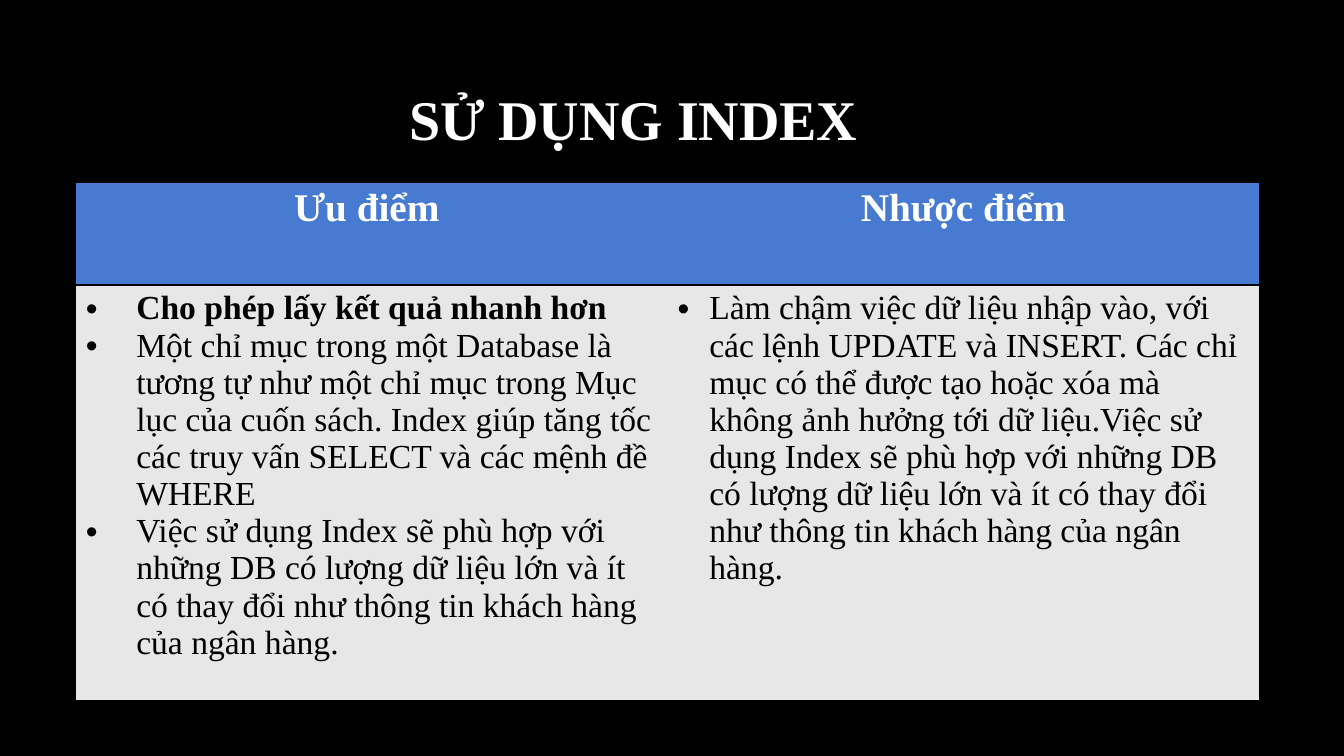
from pptx import Presentation
from pptx.dml.color import RGBColor
from pptx.enum.text import MSO_ANCHOR, PP_ALIGN
from pptx.oxml import parse_xml
from pptx.oxml.ns import nsdecls, qn
from pptx.util import Cm, Pt

CENTER, LEFT = PP_ALIGN.CENTER, PP_ALIGN.LEFT
MIDDLE = MSO_ANCHOR.MIDDLE
TITLE_ONLY = 5
NO_STYLE = "{2D5ABB26-0587-4C30-8999-92F81FD0307C}"
FONT = "Times New Roman"
COLORS = {"black": "000000", "white": "FFFFFF", "header": "477BD1", "body": "E7E7E7"}

TITLE_FORMAT = {"name": FONT, "size": Pt(40), "bold": True}
HEADER_FORMAT = {"name": FONT, "size": Pt(28), "bold": True}
BODY_FORMAT = {"name": FONT, "size": Pt(24), "bold": False}

HEADERS = ["Ưu điểm ", "Nhược điểm"]
KEY_POINT = "Cho phép lấy kết quả nhanh hơn"
ADVANTAGES = [
    KEY_POINT,
    "Một chỉ mục trong một Database là tương tự như một chỉ mục trong Mục lục "
    "của cuốn sách. Index giúp tăng tốc các truy vấn SELECT và các mệnh đề WHERE",
    "Việc sử dụng Index sẽ phù hợp với những DB có lượng dữ liệu lớn và ít có "
    "thay đổi như thông tin khách hàng của ngân hàng.",
]
DRAWBACKS = [
    "Làm chậm việc dữ liệu nhập vào, với các lệnh UPDATE và INSERT. Các chỉ mục "
    "có thể được tạo hoặc xóa mà không ảnh hưởng tới dữ liệu.Việc sử dụng Index "
    "sẽ phù hợp với những DB có lượng dữ liệu lớn và ít có thay đổi như thông tin "
    "khách hàng của ngân hàng.",
]
COLUMNS = [(ADVANTAGES, Cm(1.27)), (DRAWBACKS, Cm(0.8))]


def rgb(name):
    return RGBColor.from_string(COLORS[name])


def write(para, text, color, formats, align):
    para.alignment = align
    span = para.add_run()
    span.text = text
    for key, value in formats.items():
        setattr(span.font, key, value)
    span.font.color.rgb = rgb(color)


def add_bullet(para, indent):
    props = para._p.get_or_add_pPr()
    props.set("marL", str(indent))
    props.set("indent", str(-indent))
    props.append(parse_xml(f'<a:buFont {nsdecls("a")} typeface="Arial"/>'))
    props.append(parse_xml(f'<a:buChar {nsdecls("a")} char="•"/>'))


def style_cell(cell, fill):
    """Fill the cell and rule it above and below."""
    cell.fill.solid()
    cell.fill.fore_color.rgb = rgb(fill)
    for side in ("lnB", "lnT"):
        line = parse_xml(
            f'<a:{side} {nsdecls("a")} w="{Pt(2)}"><a:solidFill>'
            f'<a:srgbClr val="{COLORS["black"]}"/></a:solidFill></a:{side}>'
        )
        cell._tc.get_or_add_tcPr().insert(0, line)


def add_title(page):
    title = page.shapes.title
    title.left, title.top, title.width, title.height = Cm(1.9), Cm(1.7), Cm(28.12), Cm(2.57)
    title.text_frame.vertical_anchor = MIDDLE
    write(title.text_frame.paragraphs[0], "SỬ DỤNG INDEX", "white", TITLE_FORMAT, CENTER)


def fill_body(cell, points, indent):
    style_cell(cell, "body")
    frame = cell.text_frame
    for number, point in enumerate(points):
        para = frame.add_paragraph() if number else frame.paragraphs[0]
        write(para, point, "black", {**BODY_FORMAT, "bold": point == KEY_POINT}, LEFT)
        add_bullet(para, indent)


def add_comparison(page):
    table = page.shapes.add_table(2, 2, Cm(1.91), Cm(4.58), Cm(29.82), Cm(13.1)).table
    table._tbl.tblPr.find(qn("a:tableStyleId")).text = NO_STYLE
    table.rows[0].height, table.rows[1].height = Cm(2.6), Cm(10.5)
    for column, (header, (points, indent)) in enumerate(zip(HEADERS, COLUMNS)):
        cell = table.cell(0, column)
        style_cell(cell, "header")
        write(cell.text_frame.paragraphs[0], header, "white", HEADER_FORMAT, CENTER)
        fill_body(table.cell(1, column), points, indent)


def main():
    deck = Presentation()
    deck.slide_width, deck.slide_height = Cm(33.87), Cm(19.05)
    page = deck.slides.add_slide(deck.slide_layouts[TITLE_ONLY])
    page.background.fill.solid()
    page.background.fill.fore_color.rgb = rgb("black")
    add_title(page)
    add_comparison(page)
    deck.save("out.pptx")


if __name__ == "__main__":
    main()
